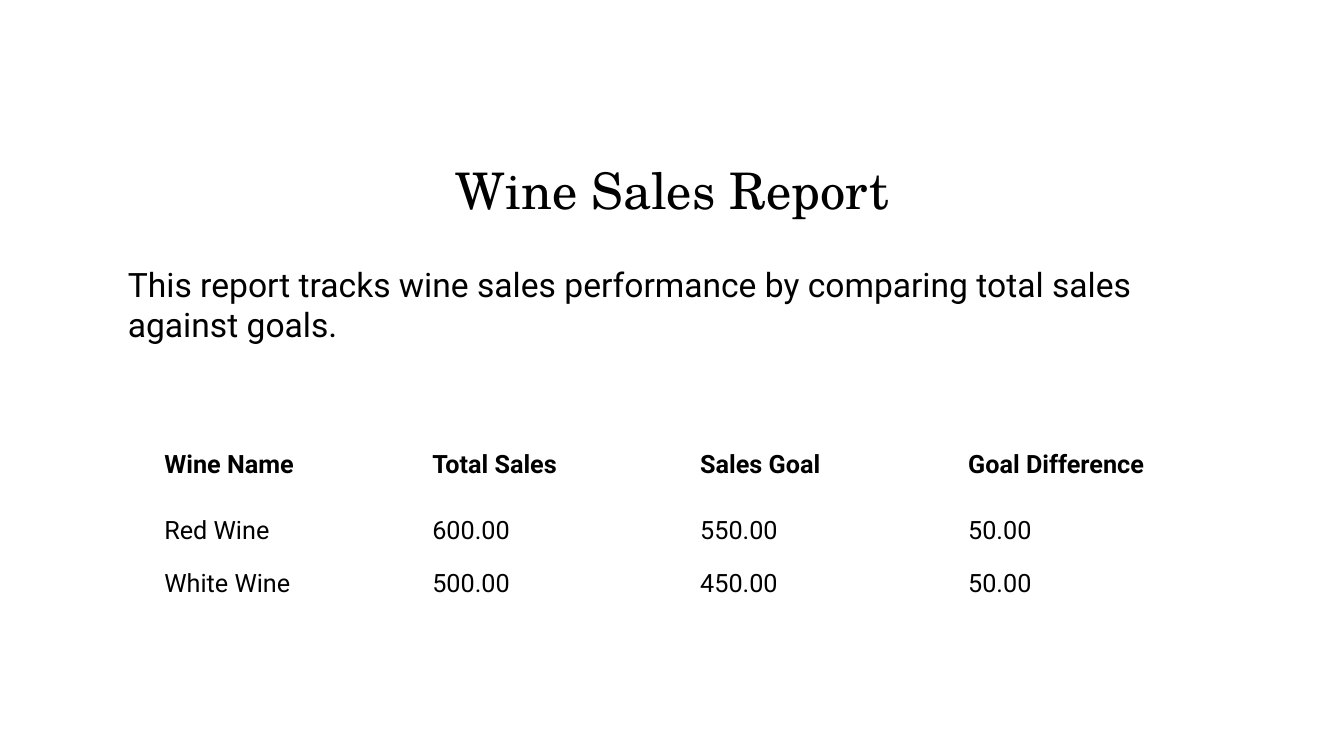
import pptx
import pptx.dml.color
import pptx.enum.shapes
import pptx.enum.text
import pptx.oxml
import pptx.oxml.ns
import pptx.util
from pptx.util import Inches

BLACK = pptx.dml.color.RGBColor(0x00, 0x00, 0x00)
WHITE = pptx.dml.color.RGBColor(0xFF, 0xFF, 0xFF)
TITLE_FONT = "TeX Gyre Schola"
BODY_FONT = "Roboto"

SALES = [
    ["Wine Name", "Total Sales", "Sales Goal", "Goal Difference"],
    ["Red Wine", "600.00", "550.00", "50.00"],
    ["White Wine", "500.00", "450.00", "50.00"],
]
ROW_HEIGHTS = [0.77, 0.53, 0.53]


def write(frame, text, size, font_name, bold=False):
    frame.text = text
    font = frame.paragraphs[0].runs[0].font
    font.size = pptx.util.Pt(size)
    font.name = font_name
    font.bold = bold
    font.color.rgb = BLACK


def add_panel(slide, left, top, width, height):
    """Put a slightly transparent white panel behind everything else."""
    panel = slide.shapes.add_shape(
        pptx.enum.shapes.MSO_SHAPE.RECTANGLE,
        Inches(left), Inches(top), Inches(width), Inches(height))
    panel.shadow.inherit = False
    panel.line.fill.background()
    panel.fill.solid()
    panel.fill.fore_color.rgb = WHITE
    color = panel.element.spPr.find(".//" + pptx.oxml.ns.qn("a:srgbClr"))
    color.append(pptx.oxml.parse_xml(
        f'<a:alpha {pptx.oxml.ns.nsdecls("a")} val="90000"/>'))
    slide.shapes.element.insert(2, panel.element)


def place_title(slide, left, top, width, height):
    title = slide.shapes.title
    title.left, title.top = Inches(left), Inches(top)
    title.width, title.height = Inches(width), Inches(height)
    frame = title.text_frame
    write(frame, "Wine Sales Report", 36, TITLE_FONT)
    frame.vertical_anchor = pptx.enum.text.MSO_ANCHOR.BOTTOM
    frame.paragraphs[0].alignment = pptx.enum.text.PP_ALIGN.CENTER
    frame.paragraphs[0].line_spacing = 0.9


def add_summary(slide, left, top, width, height):
    summary = slide.shapes.add_textbox(
        Inches(left), Inches(top), Inches(width), Inches(height))
    summary.text_frame.word_wrap = True
    write(summary.text_frame,
          "This report tracks wine sales performance by comparing "
          "total sales against goals.", 24, BODY_FONT)


def add_sales_table(slide, left, top, width):
    table = slide.shapes.add_table(
        len(SALES), len(SALES[0]), Inches(left), Inches(top),
        Inches(width), Inches(sum(ROW_HEIGHTS))).table
    table.horz_banding = False
    for row, height, values in zip(table.rows, ROW_HEIGHTS, SALES):
        row.height = Inches(height)
        for cell, value in zip(row.cells, values):
            cell.fill.background()
            cell.vertical_anchor = pptx.enum.text.MSO_ANCHOR.MIDDLE
            write(cell.text_frame, value, 18, BODY_FONT,
                  bold=values is SALES[0])
    # The plain, borderless table style
    style = table._tbl.tblPr.find(pptx.oxml.ns.qn("a:tableStyleId"))
    style.text = "{2D5ABB26-0587-4C30-8999-92F81FD0307C}"


def main():
    deck = pptx.Presentation()
    deck.slide_width, deck.slide_height = Inches(13.33), Inches(7.5)
    slide = deck.slides.add_slide(deck.slide_layouts.get_by_name("Title Only"))
    slide.background.fill.solid()
    slide.background.fill.fore_color.rgb = WHITE
    add_panel(slide, 1, 0.85, 11.33, 5.8)
    place_title(slide, 1.39, 0.97, 10.56, 1.27)
    add_sales_table(slide, 1.53, 4.23, 10.63)
    add_summary(slide, 1.17, 2.57, 10.77, 1.72)
    deck.save("out.pptx")


if __name__ == "__main__":
    main()
